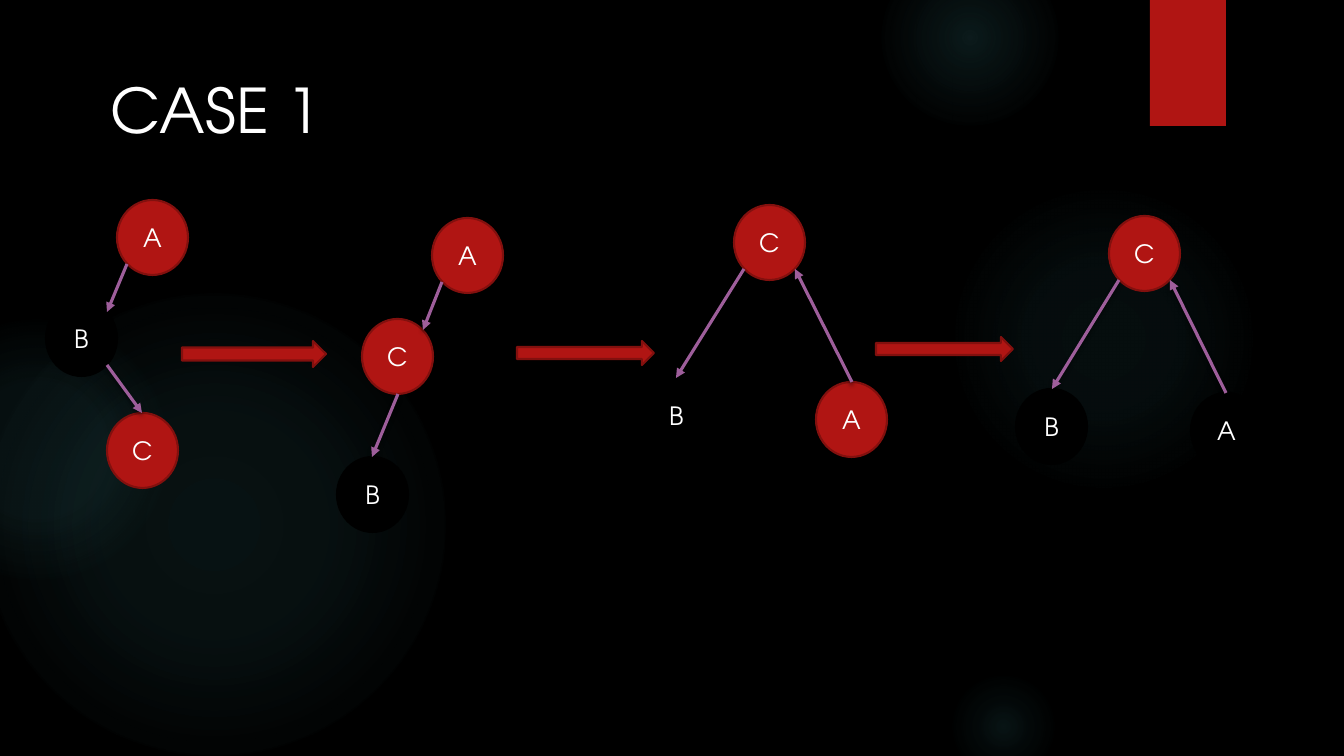
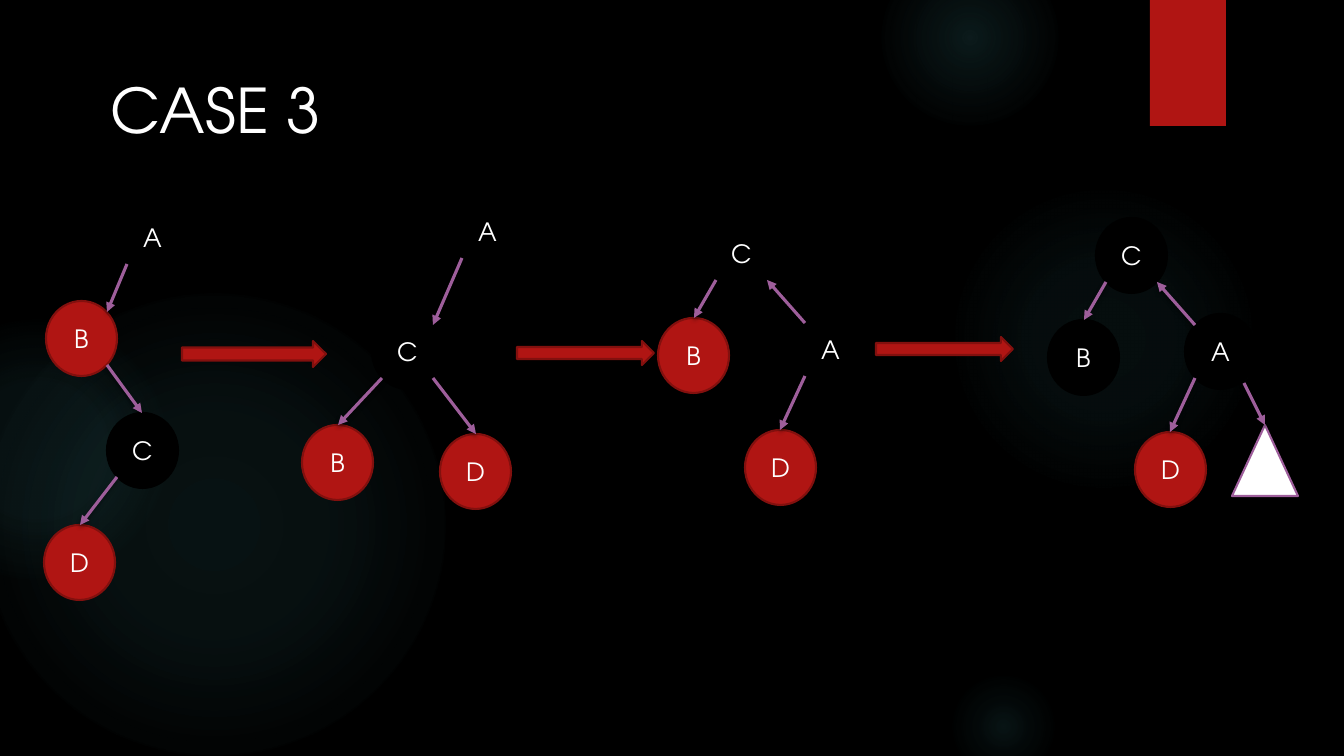
from dataclasses import dataclass, replace
from enum import Enum
from math import cos, radians, sin
from typing import Optional

from lxml.etree import SubElement
from pptx import Presentation
from pptx.dml.color import RGBColor
from pptx.enum.shapes import MSO_CONNECTOR, MSO_SHAPE
from pptx.enum.text import MSO_ANCHOR, MSO_AUTO_SIZE, PP_ALIGN
from pptx.oxml import parse_xml
from pptx.oxml.ns import nsdecls, qn
from pptx.shapes.autoshape import Shape
from pptx.shapes.connector import Connector
from pptx.slide import Slide
from pptx.text.text import TextFrame
from pptx.util import Emu, Pt

NODE_WIDTH, NODE_HEIGHT = 71, 75


@dataclass(frozen=True)
class Theme:
    font: str = "TeX Gyre Adventor"
    title_size: float = 44
    label_size: float = 18
    outline: float = 1.5
    link_width: float = 2.25
    black: str = "000000"
    white: str = "FFFFFF"
    red: str = "B01513"
    dark_red: str = "82100E"
    purple: str = "9E5E9B"
    teal: str = "50B9C1"


THEME = Theme()


@dataclass(frozen=True)
class Box:
    left: int
    top: int
    width: int
    height: int


@dataclass(frozen=True)
class Glow:
    left: int
    top: int
    size: int
    stops: tuple[tuple[int, int], ...]


class Port(Enum):
    TOP = (0, 270)
    TOP_LEFT = (1, 225)
    BOTTOM_LEFT = (3, 135)
    BOTTOM = (4, 90)
    BOTTOM_RIGHT = (5, 45)
    TOP_RIGHT = (7, 315)


@dataclass(frozen=True)
class Node:
    label: str
    left: int
    top: int
    is_red: bool = False

    def port(self, port: Port) -> tuple[int, int]:
        angle = radians(port.value[1])
        return (round(self.left + NODE_WIDTH / 2 * (1 + cos(angle))),
                round(self.top + NODE_HEIGHT / 2 * (1 + sin(angle))))


@dataclass(frozen=True)
class Link:
    start: str
    start_port: Port
    end: str
    end_port: Port


@dataclass(frozen=True)
class Tree:
    nodes: tuple[Node, ...]
    links: tuple[Link, ...]

    def moved(self, dx: int, dy: int, red_labels: str) -> "Tree":
        return replace(self, nodes=tuple(
            Node(node.label, node.left + dx, node.top + dy, node.label in red_labels)
            for node in self.nodes))


@dataclass(frozen=True)
class Subtree:
    triangle: Box
    link_start: tuple[int, int]


@dataclass(frozen=True)
class Case:
    title: str
    trees: tuple[Tree, ...]
    subtree: Optional[Subtree] = None


GLOWS = (
    Glow(-17, 294, 462, ((0, 10), (36, 8), (75, 0))),
    Glow(-93, 320, 260, ((0, 8), (36, 8), (72, 0))),
    Glow(949, 184, 310, ((0, 7), (36, 6), (69, 0))),
    Glow(882, -50, 176, ((0, 14), (36, 7), (73, 0))),
    Glow(949, 672, 109, ((0, 11), (30, 5), (67, 0))),
)
RIBBON = Box(1150, 0, 76, 126)
TITLE = Box(101, 67, 233, 85)
STEP_ARROWS = (Box(182, 341, 144, 26), Box(517, 341, 137, 24), Box(876, 337, 137, 24))

A_TO_B = Link("A", Port.BOTTOM_LEFT, "B", Port.TOP_RIGHT)
A_TO_C = Link("A", Port.BOTTOM_LEFT, "C", Port.TOP_RIGHT)
A_TO_D = Link("A", Port.BOTTOM_LEFT, "D", Port.TOP)
A_UP_TO_C = Link("A", Port.TOP, "C", Port.BOTTOM_RIGHT)
A_LEFT_TO_C = Link("A", Port.TOP_LEFT, "C", Port.BOTTOM_RIGHT)
B_TO_C = Link("B", Port.BOTTOM_RIGHT, "C", Port.TOP)
C_DOWN_TO_B = Link("C", Port.BOTTOM, "B", Port.TOP)
C_TO_B = Link("C", Port.BOTTOM_LEFT, "B", Port.TOP)
C_LEFT_TO_D = Link("C", Port.BOTTOM_LEFT, "D", Port.TOP)
C_RIGHT_TO_D = Link("C", Port.BOTTOM_RIGHT, "D", Port.TOP)

CASE_1_ROTATED = Tree(
    (Node("A", 816, 382, True), Node("C", 734, 205, True), Node("B", 641, 378)),
    (A_UP_TO_C, C_TO_B))
CASE_3_ROTATED = Tree(
    (Node("A", 795, 312), Node("C", 706, 216),
     Node("B", 658, 318, True), Node("D", 745, 430, True)),
    (A_LEFT_TO_C, C_TO_B, A_TO_D))

CASES = (
    Case("CASE 1", (
        Tree((Node("A", 117, 200, True), Node("B", 46, 301), Node("C", 107, 413, True)),
             (A_TO_B, B_TO_C)),
        Tree((Node("A", 432, 218, True), Node("C", 362, 319, True), Node("B", 337, 457)),
             (A_TO_C, C_DOWN_TO_B)),
        CASE_1_ROTATED,
        CASE_1_ROTATED.moved(375, 11, "C"),
    )),
    Case("CASE 3", (
        Tree((Node("A", 117, 200), Node("B", 46, 301, True),
              Node("C", 107, 413), Node("D", 44, 525, True)),
             (A_TO_B, B_TO_C, C_LEFT_TO_D)),
        Tree((Node("A", 452, 194), Node("C", 372, 314),
              Node("B", 302, 425, True), Node("D", 440, 434, True)),
             (A_TO_C, C_TO_B, C_RIGHT_TO_D)),
        CASE_3_ROTATED,
        CASE_3_ROTATED.moved(390, 2, "D"),
    ), Subtree(Box(1232, 425, 66, 71), (1244, 383))),
)


def px(pixels: int) -> Emu:
    return Emu(round(pixels * 914400 / 100.8))


def place(box: Box) -> tuple[Emu, Emu, Emu, Emu]:
    return px(box.left), px(box.top), px(box.width), px(box.height)


def rgb(color: str) -> RGBColor:
    return RGBColor.from_string(color)


def write(frame: TextFrame, text: str, size: float) -> None:
    run = frame.paragraphs[0].add_run()
    run.text = text
    run.font.name = THEME.font
    run.font.size = Pt(size)
    run.font.color.rgb = rgb(THEME.white)


def add_figure(slide: Slide, kind: MSO_SHAPE, box: Box, fill: Optional[str] = None,
               outline: Optional[str] = None) -> Shape:
    figure = slide.shapes.add_shape(kind, *place(box))
    figure.shadow.inherit = False
    if fill:
        figure.fill.solid()
        figure.fill.fore_color.rgb = rgb(fill)
    else:
        figure.fill.background()
    if outline:
        figure.line.color.rgb = rgb(outline)
        figure.line.width = Pt(THEME.outline)
    else:
        figure.line.fill.background()
    return figure


def cast_shadow(effects) -> None:
    shadow = SubElement(effects, qn("a:outerShdw"), blurRad=str(Pt(3)),
                        dist=str(Pt(2)), dir="5400000", rotWithShape="0")
    color = SubElement(shadow, qn("a:srgbClr"), val=THEME.black)
    SubElement(color, qn("a:alpha"), val="45000")


def add_glow(slide: Slide, glow: Glow) -> None:
    figure = add_figure(slide, MSO_SHAPE.OVAL,
                        Box(glow.left, glow.top, glow.size, glow.size))
    stops = "".join(
        f'<a:gs pos="{position * 1000}"><a:srgbClr val="{THEME.teal}">'
        f'<a:alpha val="{opacity * 1000}"/></a:srgbClr></a:gs>'
        for position, opacity in glow.stops)
    gradient = parse_xml(
        f'<a:gradFill {nsdecls("a")} rotWithShape="1"><a:gsLst>{stops}</a:gsLst>'
        '<a:path path="circle"><a:fillToRect l="50000" t="50000" r="50000" b="50000"/>'
        '</a:path></a:gradFill>')
    properties = figure._element.spPr
    properties.replace(properties.find(qn("a:noFill")), gradient)


def add_frame(slide: Slide, title: str) -> None:
    for glow in GLOWS:
        add_glow(slide, glow)
    ribbon = add_figure(slide, MSO_SHAPE.RECTANGLE, RIBBON, THEME.red)
    cast_shadow(ribbon._element.spPr.find(qn("a:effectLst")))
    frame = slide.shapes.add_textbox(*place(TITLE)).text_frame
    frame.word_wrap = False
    frame.auto_size = MSO_AUTO_SIZE.SHAPE_TO_FIT_TEXT
    write(frame, title, THEME.title_size)


def add_node(slide: Slide, node: Node) -> Shape:
    fill, outline = ((THEME.red, THEME.dark_red) if node.is_red
                     else (THEME.black, THEME.black))
    circle = add_figure(slide, MSO_SHAPE.OVAL,
                        Box(node.left, node.top, NODE_WIDTH, NODE_HEIGHT), fill, outline)
    frame = circle.text_frame
    frame.vertical_anchor = MSO_ANCHOR.MIDDLE
    frame.paragraphs[0].alignment = PP_ALIGN.CENTER
    write(frame, node.label, THEME.label_size)
    return circle


def add_link(slide: Slide, start: tuple[int, int], end: tuple[int, int]) -> Connector:
    link = slide.shapes.add_connector(MSO_CONNECTOR.STRAIGHT, *map(px, start + end))
    link.line.color.rgb = rgb(THEME.purple)
    link.line.width = Pt(THEME.link_width)
    SubElement(link.line._get_or_add_ln(), qn("a:tailEnd"), type="triangle")
    cast_shadow(SubElement(link._element.spPr, qn("a:effectLst")))
    return link


def glue(link: Connector, tag: str, circle: Shape, port: Port) -> None:
    anchors = link._element.nvCxnSpPr.cNvCxnSpPr
    SubElement(anchors, qn(tag), id=str(circle.shape_id), idx=str(port.value[0]))


def add_tree(slide: Slide, tree: Tree) -> None:
    nodes = {node.label: node for node in tree.nodes}
    circles = {node.label: add_node(slide, node) for node in tree.nodes}
    for link in tree.links:
        line = add_link(slide, nodes[link.start].port(link.start_port),
                        nodes[link.end].port(link.end_port))
        glue(line, "a:stCxn", circles[link.start], link.start_port)
        glue(line, "a:endCxn", circles[link.end], link.end_port)


def add_subtree(slide: Slide, subtree: Subtree) -> None:
    triangle = subtree.triangle
    add_figure(slide, MSO_SHAPE.ISOSCELES_TRIANGLE, triangle, THEME.white, THEME.purple)
    add_link(slide, subtree.link_start,
             (triangle.left + triangle.width // 2, triangle.top))


def build() -> None:
    deck = Presentation()
    deck.slide_width, deck.slide_height = px(1344), px(756)
    background = deck.slide_master.background.fill
    background.solid()
    background.fore_color.rgb = rgb(THEME.black)
    for case in CASES:
        slide = deck.slides.add_slide(deck.slide_layouts[6])
        add_frame(slide, case.title)
        for tree in case.trees:
            add_tree(slide, tree)
        for arrow in STEP_ARROWS:
            add_figure(slide, MSO_SHAPE.RIGHT_ARROW, arrow, THEME.red, THEME.dark_red)
        if case.subtree:
            add_subtree(slide, case.subtree)
    deck.save("out.pptx")


build()
